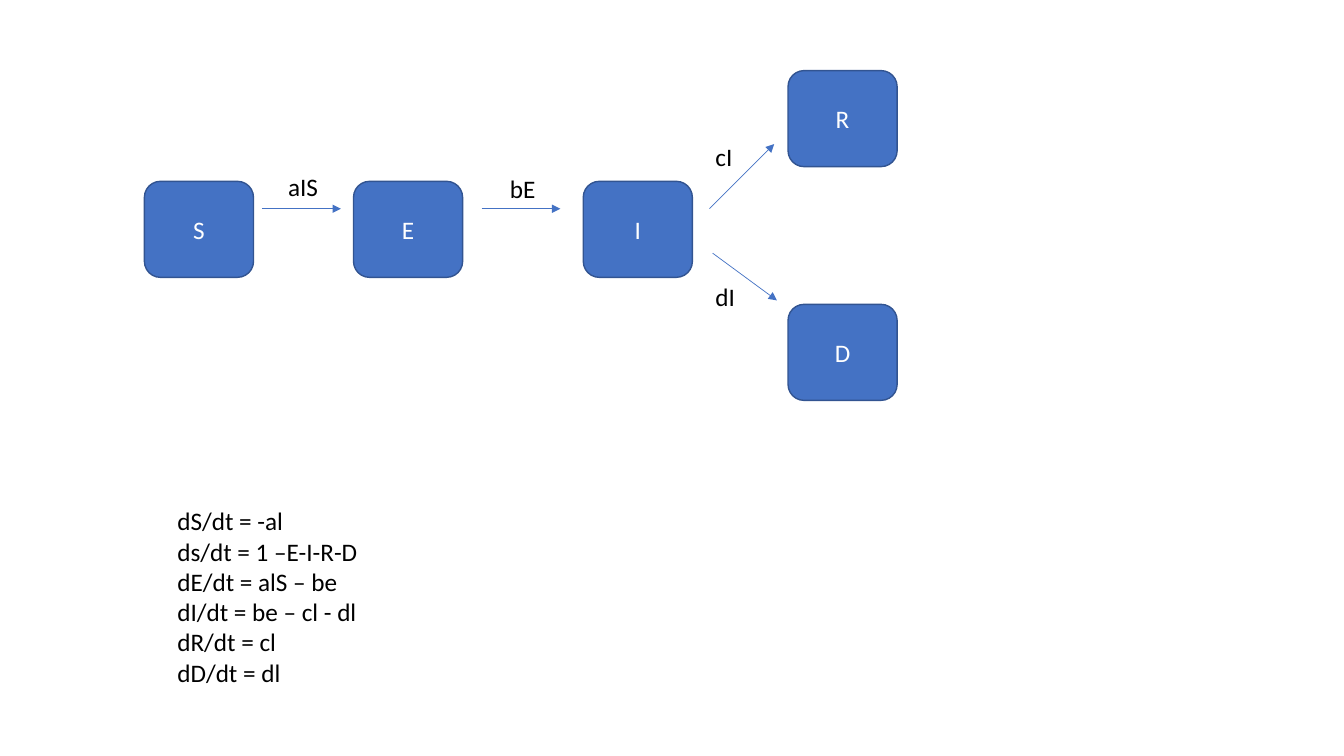
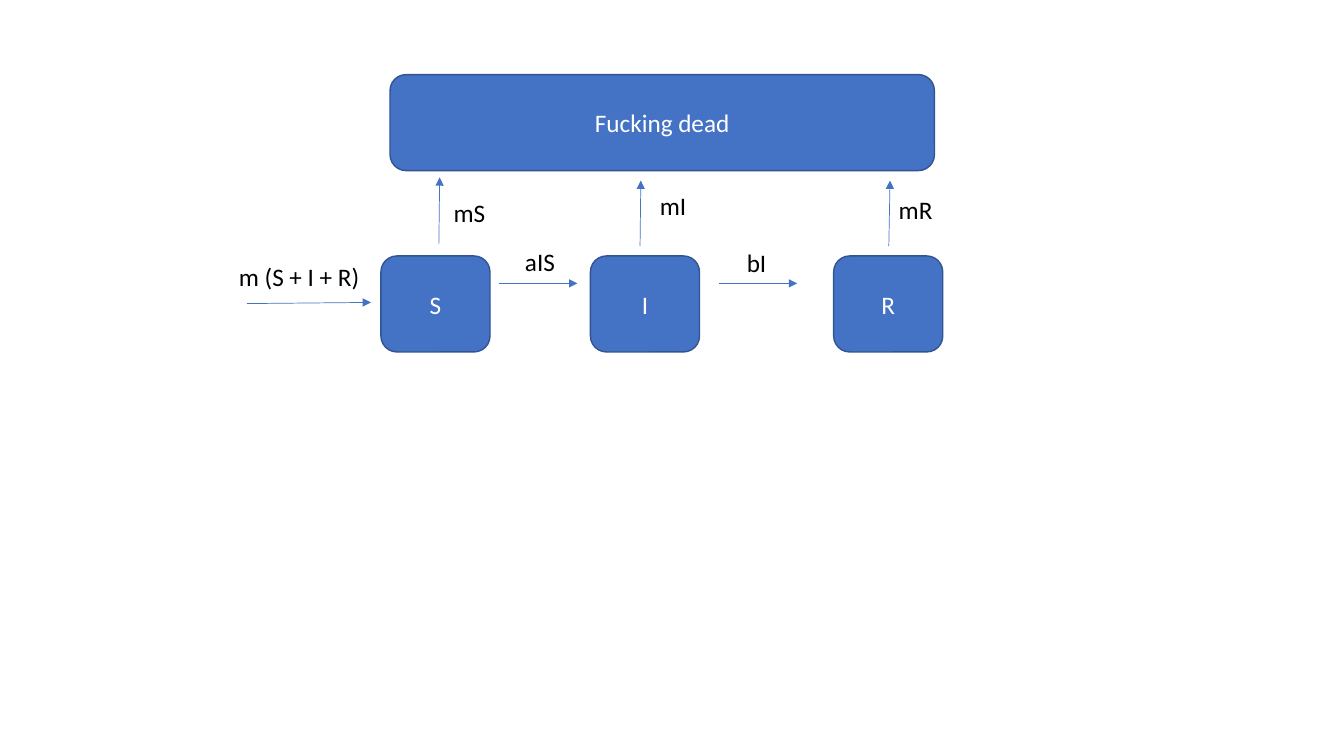
from lxml import etree
from pptx import Presentation
from pptx.dml.color import RGBColor
from pptx.enum import shapes, text
from pptx.oxml import ns
from pptx.util import Cm, Pt

BLUE = RGBColor(0x44, 0x72, 0xC4)
DARK_BLUE = RGBColor(0x32, 0x54, 0x91)
WHITE = RGBColor(0xFF, 0xFF, 0xFF)
BLACK = RGBColor(0x00, 0x00, 0x00)

BOX_W, BOX_H = 2.75, 2.42
LABEL_H = 1.02
CHAIN_Y, BRANCH_X = 4.57, 19.86   # first model: main row, outcome column
SIR_Y = 6.45                      # second model: main row

# All lengths in cm. compartments: name, left, top, width
# flows: start x, y, end x, y; labels: lines, left, top, width, height
models = [
    {
        "compartments": [
            ("S", 3.64, CHAIN_Y, BOX_W),
            ("E", 8.91, CHAIN_Y, BOX_W),
            ("I", 14.7, CHAIN_Y, BOX_W),
            ("R", BRANCH_X, 1.78, BOX_W),
            ("D", BRANCH_X, 7.67, BOX_W),
        ],
        "flows": [
            (6.6, 5.26, 8.59, 5.26),
            (12.14, 5.26, 14.12, 5.26),
            (17.88, 5.26, 19.51, 3.63),
            (17.96, 6.38, 19.58, 7.57),
        ],
        "labels": [
            (["aIS"], 7.01, 4.19, 1.27, LABEL_H),
            (["bE"], 12.6, 4.24, 1.17, LABEL_H),
            (["cI"], 17.78, 3.43, 0.94, LABEL_H),
            (["dI"], 17.78, 6.96, 1.02, LABEL_H),
            (["dS/dt = -al", "ds/dt = 1 –E-I-R-D", "dE/dt = alS – be",
              "dI/dt = be – cl - dl", "dR/dt = cl", "dD/dt = dl"],
             4.22, 12.62, 5.11, 4.88),
        ],
    },
    {
        "compartments": [
            ("S", 9.6, SIR_Y, BOX_W),
            ("I", 14.88, SIR_Y, BOX_W),
            ("R", 21.01, SIR_Y, BOX_W),
            ("Fucking dead", 9.83, 1.88, 13.72),
        ],
        "flows": [
            (12.57, 7.14, 14.55, 7.14),
            (18.11, 7.14, 20.09, 7.14),
            (11.06, 6.15, 11.08, 4.47),
            (16.13, 6.2, 16.15, 4.55),
            (22.4, 6.2, 22.43, 4.55),
            (6.22, 7.65, 9.35, 7.62),
        ],
        "labels": [
            (["aIS"], 12.98, 6.07, 1.27, LABEL_H),
            (["bI"], 18.57, 6.12, 1.02, LABEL_H),
            (["mS"], 11.18, 4.85, 1.32, LABEL_H),
            (["mI"], 16.38, 4.67, 1.19, LABEL_H),
            (["mR"], 22.4, 4.78, 1.37, LABEL_H),
            (["m (S + I + R)"], 5.77, SIR_Y, 3.61, LABEL_H),
        ],
    },
]


def write(frame, lines, color, align):
    for number, line in enumerate(lines):
        paragraph = frame.add_paragraph() if number else frame.paragraphs[0]
        paragraph.alignment = align
        run = paragraph.add_run()
        run.text = line
        run.font.name = "Calibri"
        run.font.size = Pt(18)
        run.font.color.rgb = color


prs = Presentation()
prs.slide_width, prs.slide_height = Cm(33.87), Cm(19.05)

for model in models:
    slide = prs.slides.add_slide(prs.slide_layouts[6])

    # Compartments
    for name, left, top, width in model["compartments"]:
        compartment = slide.shapes.add_shape(
            shapes.MSO_SHAPE.ROUNDED_RECTANGLE,
            Cm(left), Cm(top), Cm(width), Cm(BOX_H))
        compartment.shadow.inherit = False
        compartment.fill.solid()
        compartment.fill.fore_color.rgb = BLUE
        compartment.line.color.rgb = DARK_BLUE
        compartment.line.width = Pt(1)
        compartment.text_frame.vertical_anchor = text.MSO_ANCHOR.MIDDLE
        write(compartment.text_frame, [name], WHITE, text.PP_ALIGN.CENTER)

    # Flows between compartments
    for ends in model["flows"]:
        flow = slide.shapes.add_connector(
            shapes.MSO_CONNECTOR.STRAIGHT, *(Cm(value) for value in ends))
        flow.line.color.rgb = BLUE
        flow.line.width = Pt(0.5)
        etree.SubElement(flow.line._get_or_add_ln(), ns.qn("a:tailEnd"), type="triangle")
        etree.SubElement(flow._element.spPr, ns.qn("a:effectLst"))

    # Rates and equations
    for lines, left, top, width, height in model["labels"]:
        label = slide.shapes.add_textbox(Cm(left), Cm(top), Cm(width), Cm(height))
        label.text_frame.word_wrap = False
        label.text_frame.auto_size = text.MSO_AUTO_SIZE.SHAPE_TO_FIT_TEXT
        write(label.text_frame, lines, BLACK, text.PP_ALIGN.LEFT)

prs.save("out.pptx")
